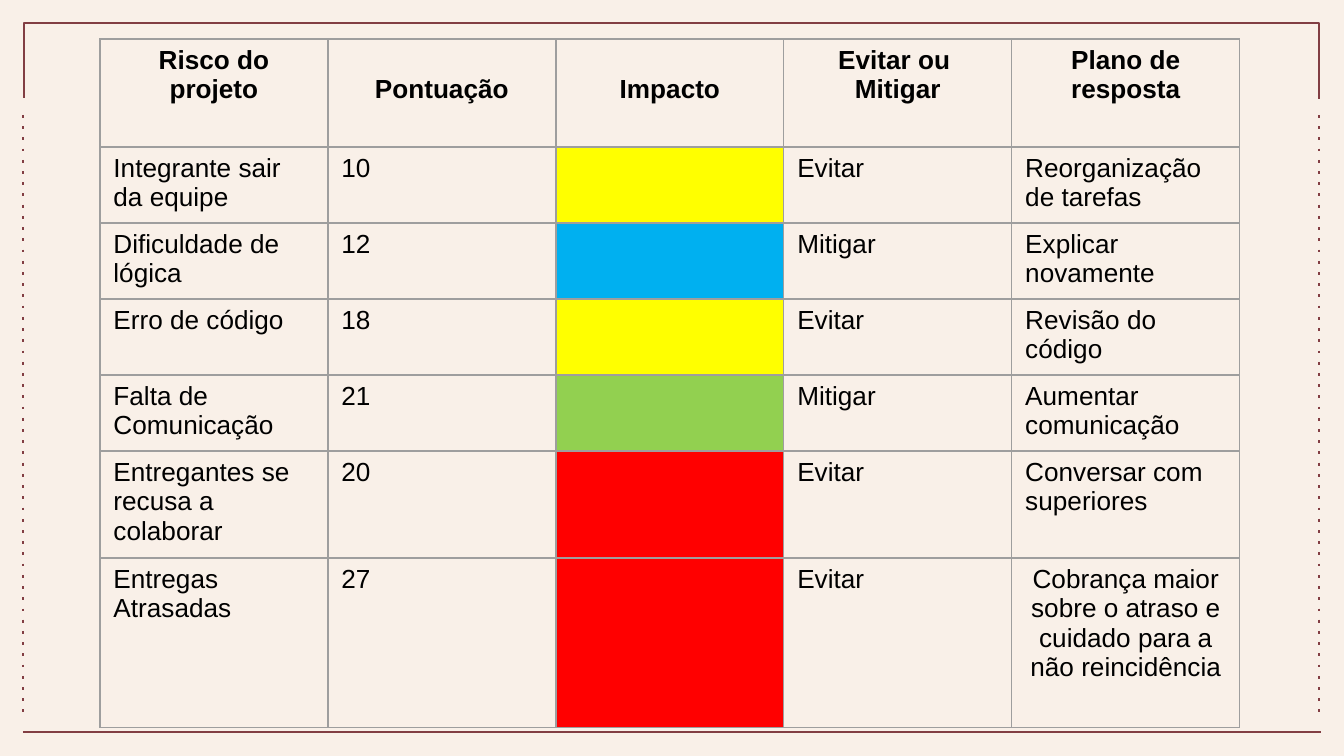
"""Build the project risk table slide inside its decorative frame."""
from lxml import etree
from pptx import Presentation
from pptx.dml.color import RGBColor
from pptx.enum.text import MSO_ANCHOR, PP_ALIGN
from pptx.oxml.ns import qn
from pptx.util import Pt

CENTER, LEFT = PP_ALIGN.CENTER, PP_ALIGN.LEFT
MIDDLE, TOP = MSO_ANCHOR.MIDDLE, MSO_ANCHOR.TOP
SCALE = 914400 / 134.4
PAPER, FRAME, BORDER, INK = "F9F0E8", "823E43", "9E9E9E", "000000"
YELLOW, BLUE, GREEN, RED = "FFFF00", "00B0F0", "92D050", "FF0000"

HEADINGS = ["Risco do projeto", "Pontuação", "Impacto", "Evitar ou \nMitigar", "Plano de resposta"]
RISKS = [
    ("Integrante sair da equipe", "10", YELLOW, "Evitar", "Reorganização de tarefas"),
    ("Dificuldade de lógica", "12", BLUE, "Mitigar", "Explicar novamente "),
    ("Erro de código", "18", YELLOW, "Evitar", "Revisão do código"),
    ("Falta de Comunicação", "21", GREEN, "Mitigar", "Aumentar comunicação"),
    ("Entregantes se recusa a colaborar", "20", RED, "Evitar", "Conversar com superiores"),
    ("Entregas Atrasadas", "27", RED, "Evitar",
     "Cobrança maior sobre o atraso e cuidado para a não reincidência"),
]
ROW_HEIGHTS = [108, 76, 76, 76, 76, 107, 170]
COLUMN_WIDTH = 228
IMPACT_COLUMN = 2


def px(length):
    return round(length * SCALE)


def color(value):
    return RGBColor.from_string(value)


class Page:
    def __init__(self, deck):
        self.slide = deck.slides.add_slide(deck.slide_layouts[6])
        self.shapes = self.slide.shapes
        self.font = {"name": "Arial", "size": Pt(14)}
        fill = self.slide.background.fill
        fill.solid()
        fill.fore_color.rgb = color(PAPER)

    def stroke(self, shape):
        shape.line.color.rgb = color(FRAME)
        shape.line.width = Pt(1.5)

    def line(self, start, end, dotted=False):
        line = self.shapes.add_connector(1, *map(px, start + end))
        self.stroke(line)
        properties = line._element.spPr
        if dotted:
            etree.SubElement(properties.find(qn("a:ln")), qn("a:prstDash"), val="dot")
        etree.SubElement(properties, qn("a:effectLst"))

    def bracket(self, points):
        builder = self.shapes.build_freeform(*points[0], scale=SCALE)
        builder.add_line_segments(points[1:], close=False)
        shape = builder.convert_to_shape()
        shape.shadow.inherit = False
        shape.fill.background()
        self.stroke(shape)

    def table(self, left, top, column_width, row_heights, column_count):
        size = column_width * column_count, sum(row_heights)
        table = self.shapes.add_table(
            len(row_heights), column_count, *map(px, (left, top) + size)).table
        table.first_row = table.horz_banding = False
        for column in table.columns:
            column.width = px(column_width)
        for row, height in zip(table.rows, row_heights):
            row.height = px(height)
        return table

    def cell(self, cell, text="", fill=None, align=LEFT, bold=False):
        if fill:
            cell.fill.solid()
            cell.fill.fore_color.rgb = color(fill)
        else:
            cell.fill.background()
        self.borders(cell)
        cell.text = text
        for para in cell.text_frame.paragraphs:
            para.alignment = align
            for span in para.runs:
                for name, value in {**self.font, "bold": bold}.items():
                    setattr(span.font, name, value)
                span.font.color.rgb = color(INK)

    def borders(self, cell):
        properties = cell._tc.get_or_add_tcPr()
        for index, side in enumerate(("lnL", "lnR", "lnT", "lnB")):
            edge = etree.Element(qn(f"a:{side}"), w=str(Pt(0.75)))
            fill = etree.SubElement(edge, qn("a:solidFill"))
            etree.SubElement(fill, qn("a:srgbClr"), val=BORDER)
            properties.insert(index, edge)


def main():
    deck = Presentation()
    deck.slide_width, deck.slide_height = px(1344), px(756)
    page = Page(deck)

    page.bracket([(24, 98), (24, 23), (1319, 23), (1319, 99)])
    for x in (1319, 23):
        page.line((x, 115), (x, 716), dotted=True)
    page.line((23, 732), (1321, 732))

    table = page.table(100, 39, COLUMN_WIDTH, ROW_HEIGHTS, len(HEADINGS))
    for column, heading in enumerate(HEADINGS):
        cell = table.cell(0, column)
        page.cell(cell, heading, align=CENTER, bold=True)
        single_line = heading in ("Pontuação", "Impacto")
        cell.vertical_anchor = MIDDLE if single_line else TOP
        cell.margin_bottom = px(14)
    for row, risk in enumerate(RISKS, 1):
        for column, value in enumerate(risk):
            cell = table.cell(row, column)
            if column == IMPACT_COLUMN:
                page.cell(cell, fill=value)
            else:
                centered = row == len(RISKS) and column == len(risk) - 1
                page.cell(cell, value, align=CENTER if centered else LEFT)

    deck.save("out.pptx")


if __name__ == "__main__":
    main()
